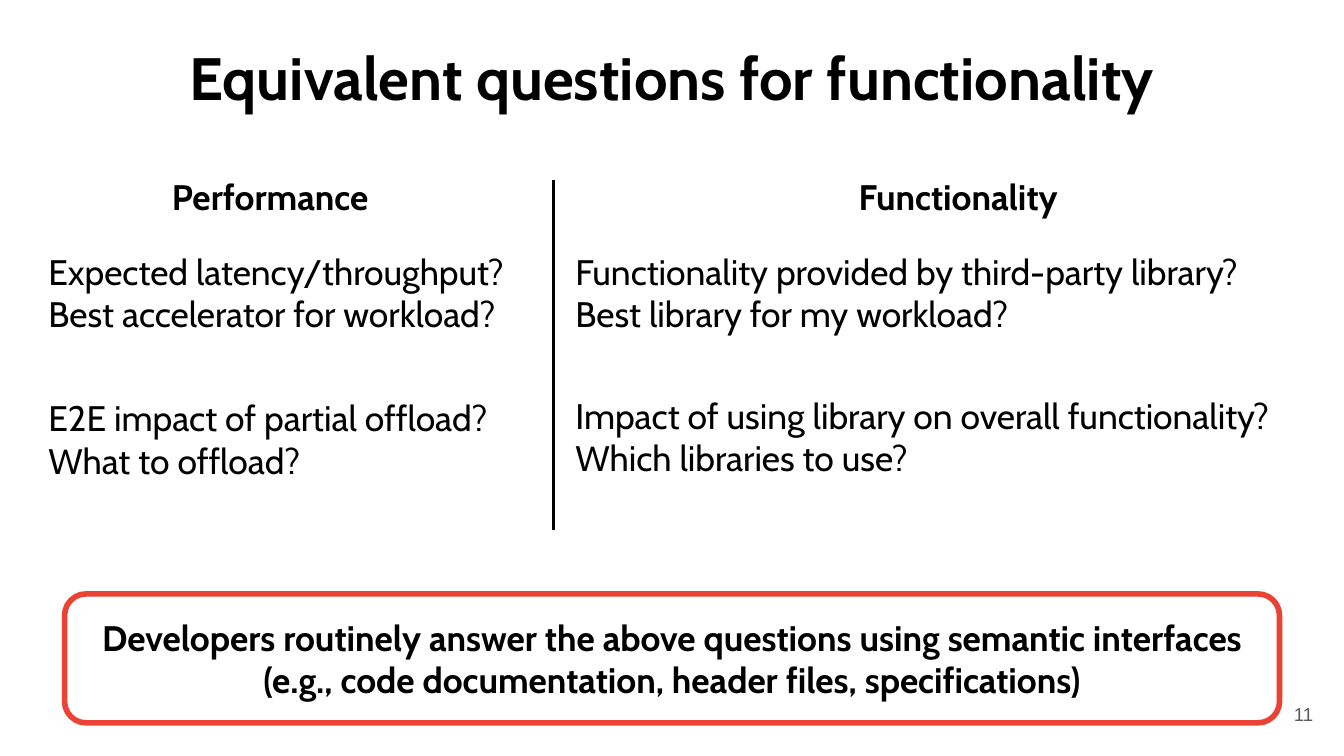
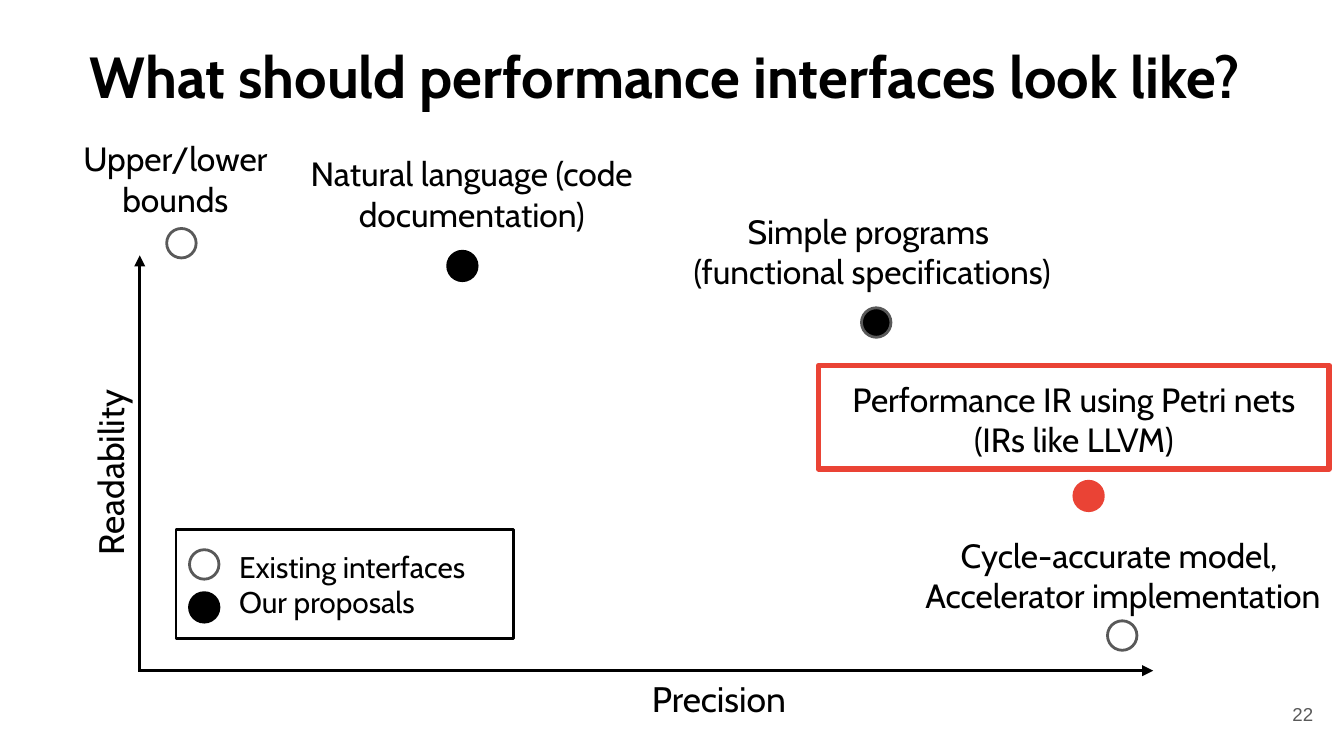
from lxml.etree import SubElement
from pptx import Presentation
from pptx.dml.color import RGBColor
from pptx.enum.shapes import MSO_CONNECTOR as Connector, MSO_SHAPE as Shape
from pptx.enum.text import MSO_ANCHOR as Anchor, MSO_AUTO_SIZE as AutoSize, PP_ALIGN as Align
from pptx.oxml.ns import qn
from pptx.util import Pt

BLACK, GRAY, RED = "000000", "595959", "EA4335"
FONT, NUMBER_FONT = "Cabin", "Arial"
BODY_SIZE, LABEL_SIZE, LEGEND_SIZE = 19, 18, 16
DOT = 15.8


def color(value):
    """Turn a hex string into a colour."""
    return RGBColor.from_string(value)


def place(shape, left, top, width, height):
    """Move and size a shape, in points."""
    shape.left, shape.top = Pt(left), Pt(top)
    shape.width, shape.height = Pt(width), Pt(height)


def write(shape, lines, size, bold=False, align=Align.LEFT, anchor=Anchor.TOP,
          font=FONT, ink=BLACK, inset=7.2, grow=False):
    """Fill a shape with one plain paragraph per line."""
    frame = shape.text_frame
    frame.word_wrap = True
    frame.auto_size = AutoSize.SHAPE_TO_FIT_TEXT if grow else AutoSize.NONE
    frame.vertical_anchor = anchor
    frame.margin_left = frame.margin_right = Pt(7.2)
    frame.margin_top = frame.margin_bottom = Pt(inset)
    for index, line in enumerate(lines):
        para = frame.add_paragraph() if index else frame.paragraphs[0]
        para.alignment = align
        para.line_spacing = 1.0
        para.space_before = para.space_after = Pt(0)
        span = para.add_run()
        span.text = line
        span.font.name, span.font.size, span.font.bold = font, Pt(size), bold
        span.font.color.rgb = color(ink)


def add_title(page, text, size, left, width):
    """Format the title placeholder."""
    place(page.shapes.title, left, 14.4, width, 45.4)
    write(page.shapes.title, [text], size, bold=True, align=Align.CENTER)


def add_questions(page, slot, frame, lines):
    """Format a body placeholder as unbulleted questions."""
    box = page.placeholders[slot]
    place(box, *frame)
    write(box, lines, BODY_SIZE)
    for para in box.text_frame.paragraphs:
        settings = para._p.get_or_add_pPr()
        settings.set("marL", "0")
        settings.set("indent", "0")
        SubElement(settings, qn("a:buNone"))


def add_text(page, frame, lines, size, **style):
    """Add a text box."""
    box = page.shapes.add_textbox(*map(Pt, frame))
    write(box, lines, size, **style)
    return box


def add_shape(page, kind, frame, line=None, weight=1.5, fill=None):
    """Add a preset shape with optional outline and fill."""
    shape = page.shapes.add_shape(kind, *map(Pt, frame))
    shape.shadow.inherit = False
    if fill:
        shape.fill.solid()
        shape.fill.fore_color.rgb = color(fill)
    else:
        shape.fill.background()
    if line:
        shape.line.color.rgb = color(line)
        shape.line.width = Pt(weight)
    else:
        shape.line.fill.background()
    return shape


def add_dot(page, left, top, line=GRAY, fill=None):
    """Add a round marker."""
    add_shape(page, Shape.OVAL, (left, top, DOT, DOT), line, fill=fill)


def add_line(page, start, end, arrow=False):
    """Add a black straight line, optionally with an arrowhead at its end."""
    line = page.shapes.add_connector(Connector.STRAIGHT, *map(Pt, start + end))
    line.line.color.rgb = color(BLACK)
    line.line.width = Pt(1.5)
    if arrow:
        SubElement(line.line._get_or_add_ln(), qn("a:tailEnd"), type="triangle")
    SubElement(line._element.spPr, qn("a:effectLst"))


def add_page_number(page, number):
    """Add the number in the lower right corner."""
    add_text(page, (667.4, 367.2, 43.2, 31), [str(number)], 10, align=Align.RIGHT,
             anchor=Anchor.MIDDLE, font=NUMBER_FONT, ink=GRAY)


def build_questions(deck):
    """Build the comparison of performance and functionality questions."""
    page = deck.slides.add_slide(deck.slide_layouts[4])
    add_title(page, "Equivalent questions for functionality", 32, 24.5, 671)
    questions = [
        ((18.7, 126.7, 319, 59.8),
         ["Expected latency/throughput?", "Best accelerator for workload?"]),
        ((18.7, 205.2, 273.6, 101.5),
         ["E2E impact of partial offload? What to offload?"]),
        ((301, 126.7, 468, 59.8),
         ["Functionality provided by third-party library?", "Best library for my workload?"]),
        ((301, 203.8, 416.9, 69.1),
         ["Impact of using library on overall functionality?", "Which libraries to use?"]),
    ]
    for slot, (frame, lines) in enumerate(questions, 1):
        add_questions(page, slot, frame, lines)
    for left, heading in ((85, "Performance"), (452.9, "Functionality")):
        add_text(page, (left, 86.4, 141, 37.4), [heading], BODY_SIZE, bold=True, grow=True)
    add_line(page, (296.6, 96.5), (296.6, 283.7))
    takeaway = add_shape(page, Shape.ROUNDED_RECTANGLE, (34.6, 318.2, 650.9, 69.1), RED, 3)
    write(takeaway, ["Developers routinely answer the above questions using semantic interfaces "
                     "(e.g., code documentation, header files, specifications)"],
          BODY_SIZE, bold=True, align=Align.CENTER, anchor=Anchor.MIDDLE)
    add_page_number(page, 11)


def build_tradeoff(deck):
    """Build the map of readability against precision."""
    page = deck.slides.add_slide(deck.slide_layouts[5])
    add_title(page, "What should performance interfaces look like? ", 31, 0, 719)

    add_line(page, (74.9, 359.3), (74.9, 136.8), arrow=True)
    add_line(page, (74.2, 359.3), (617.8, 359.3), arrow=True)
    readability = add_text(page, (4.3, 231.1, 109.4, 37.4), ["Readability"], BODY_SIZE, grow=True)
    readability.rotation = 270
    add_text(page, (241.2, 355.7, 288, 37.4), ["Precision"], BODY_SIZE,
             align=Align.CENTER, grow=True)

    bounds = add_shape(page, Shape.ROUNDED_RECTANGLE, (13.7, 65.5, 160.6, 60.5))
    write(bounds, ["Upper/lower bounds"], LABEL_SIZE, align=Align.CENTER, anchor=Anchor.MIDDLE)
    labels = [
        ((154.1, 74.9, 197.3, 58.3), ["Natural language (code documentation)"]),
        ((353.5, 105.8, 227.5, 58.3), ["Simple programs ", "(functional specifications)"]),
        ((478.1, 279.4, 247, 58.3), ["Cycle-accurate model, ", "Accelerator implementation"]),
    ]
    for frame, lines in labels:
        add_text(page, frame, lines, LABEL_SIZE, align=Align.CENTER, grow=True)
    petri_nets = add_shape(page, Shape.RECTANGLE, (438.5, 195.8, 273.6, 55.4), RED, 3)
    write(petri_nets, ["Performance IR using Petri nets (IRs like LLVM)"], LABEL_SIZE,
          align=Align.CENTER, grow=True)

    add_shape(page, Shape.RECTANGLE, (94.3, 283.7, 180.7, 58.3), BLACK)
    add_text(page, (121, 290.2, 180.7, 47.5), ["Existing interfaces", "Our proposals"],
             LEGEND_SIZE, inset=3.6, grow=True)
    for left, top in ((89.3, 122.4), (593.3, 332.6), (101.5, 294.5)):
        add_dot(page, left, top)
    for left, top in ((239.8, 134.6), (101.5, 317.5)):
        add_dot(page, left, top, BLACK, BLACK)
    add_dot(page, 461.5, 164.9, GRAY, BLACK)
    add_dot(page, 575.3, 257.8, RED, RED)
    add_page_number(page, 22)


def main():
    """Build and save the deck."""
    deck = Presentation()
    deck.slide_width, deck.slide_height = Pt(720), Pt(405)
    build_questions(deck)
    build_tradeoff(deck)
    deck.save("out.pptx")


if __name__ == "__main__":
    main()
